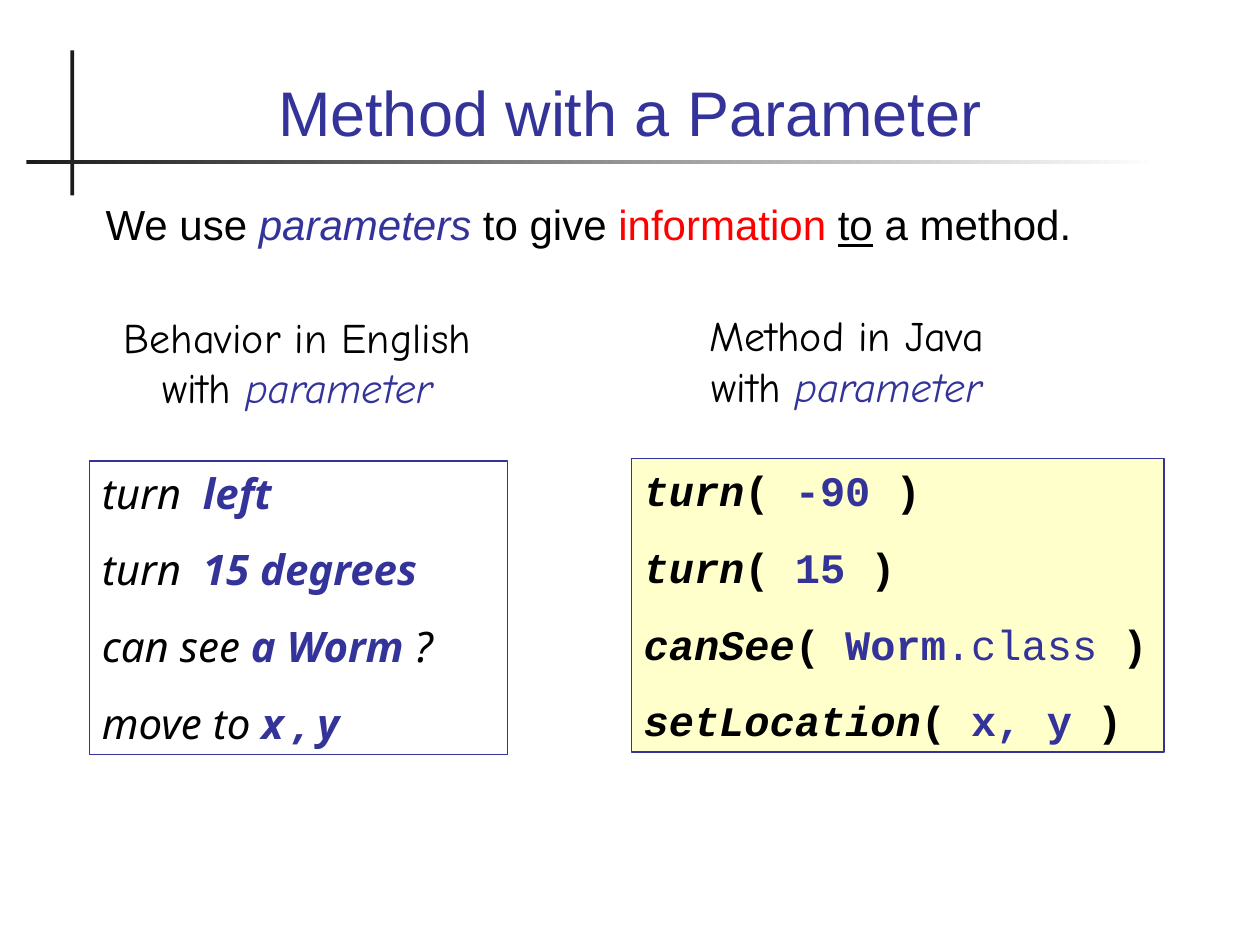
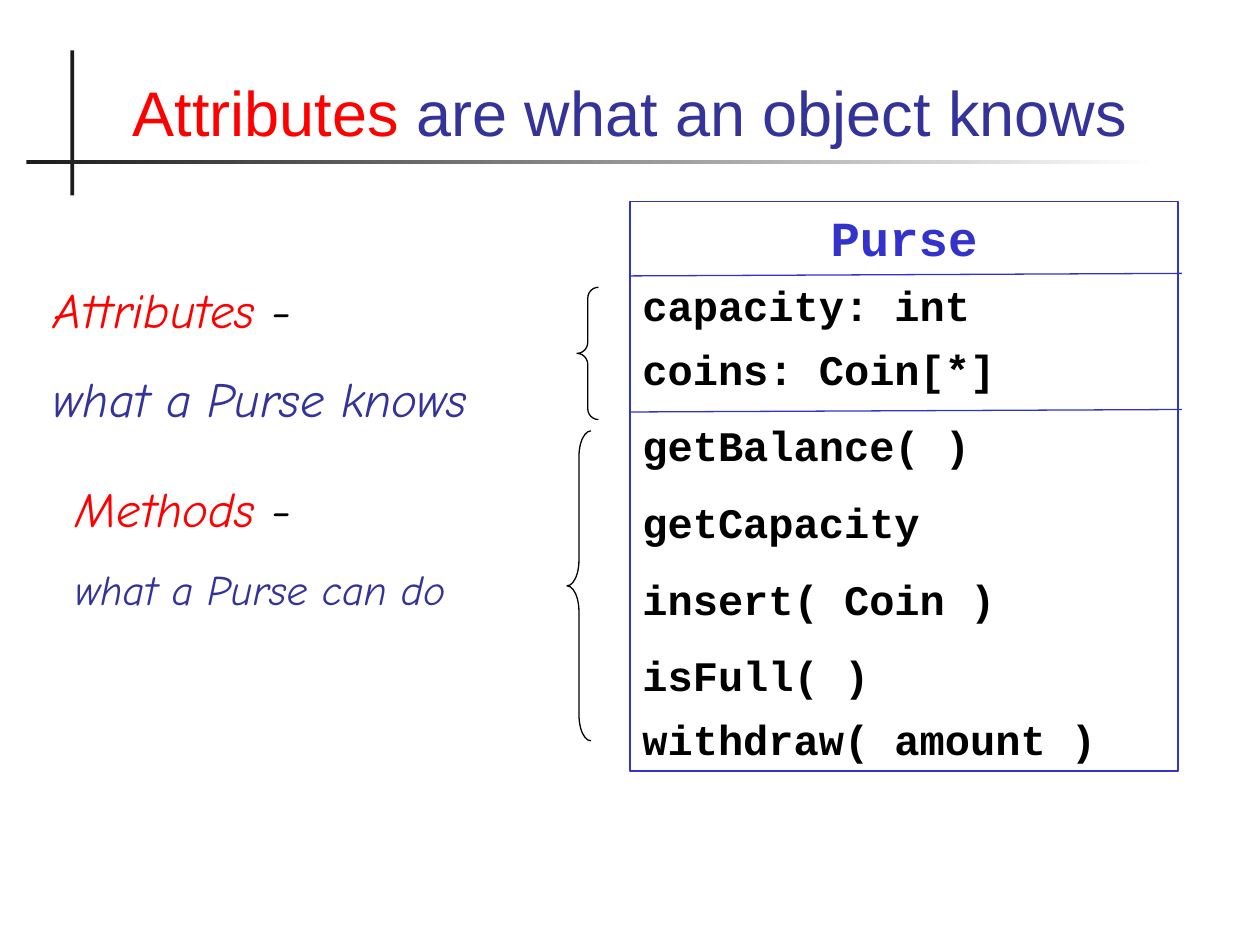
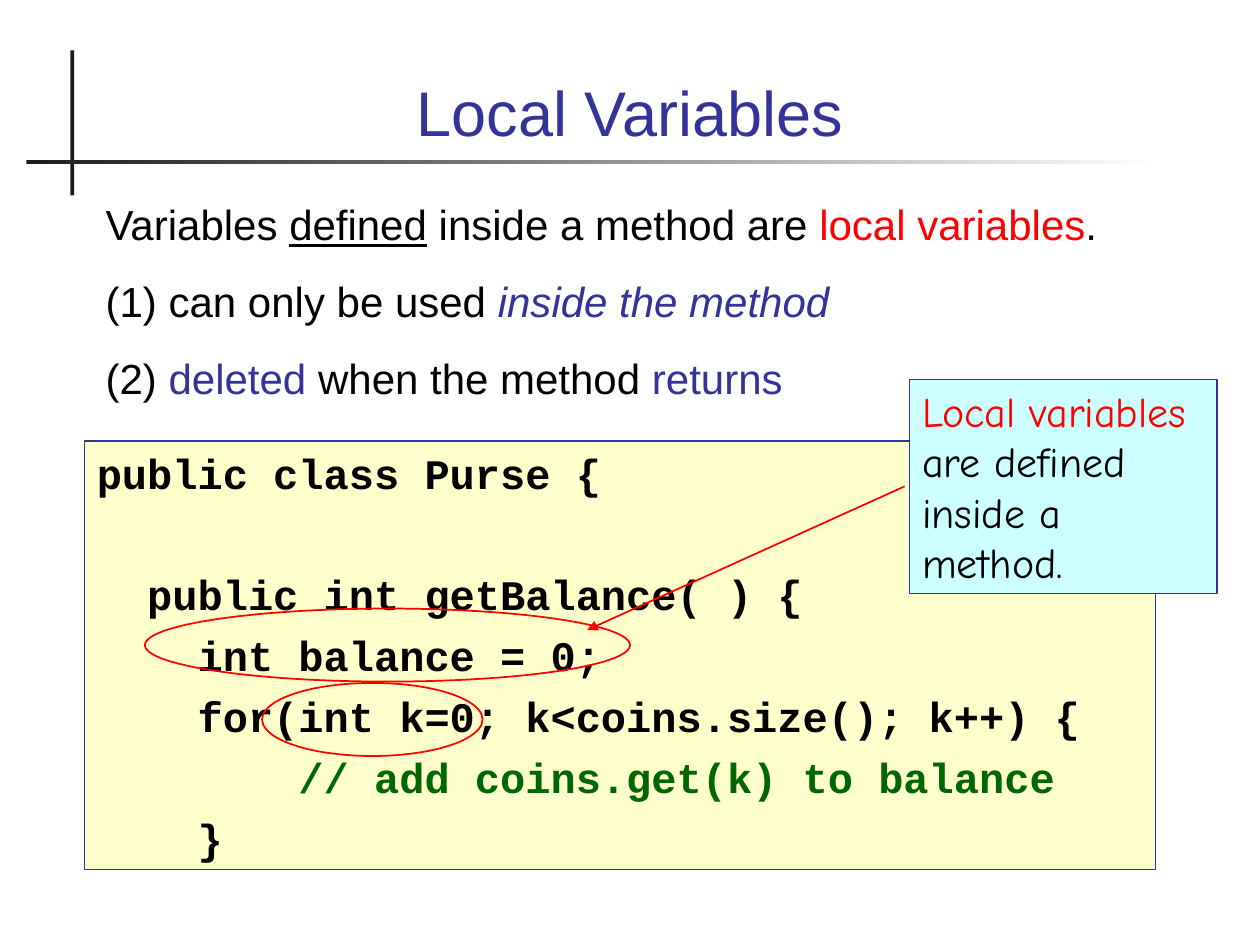
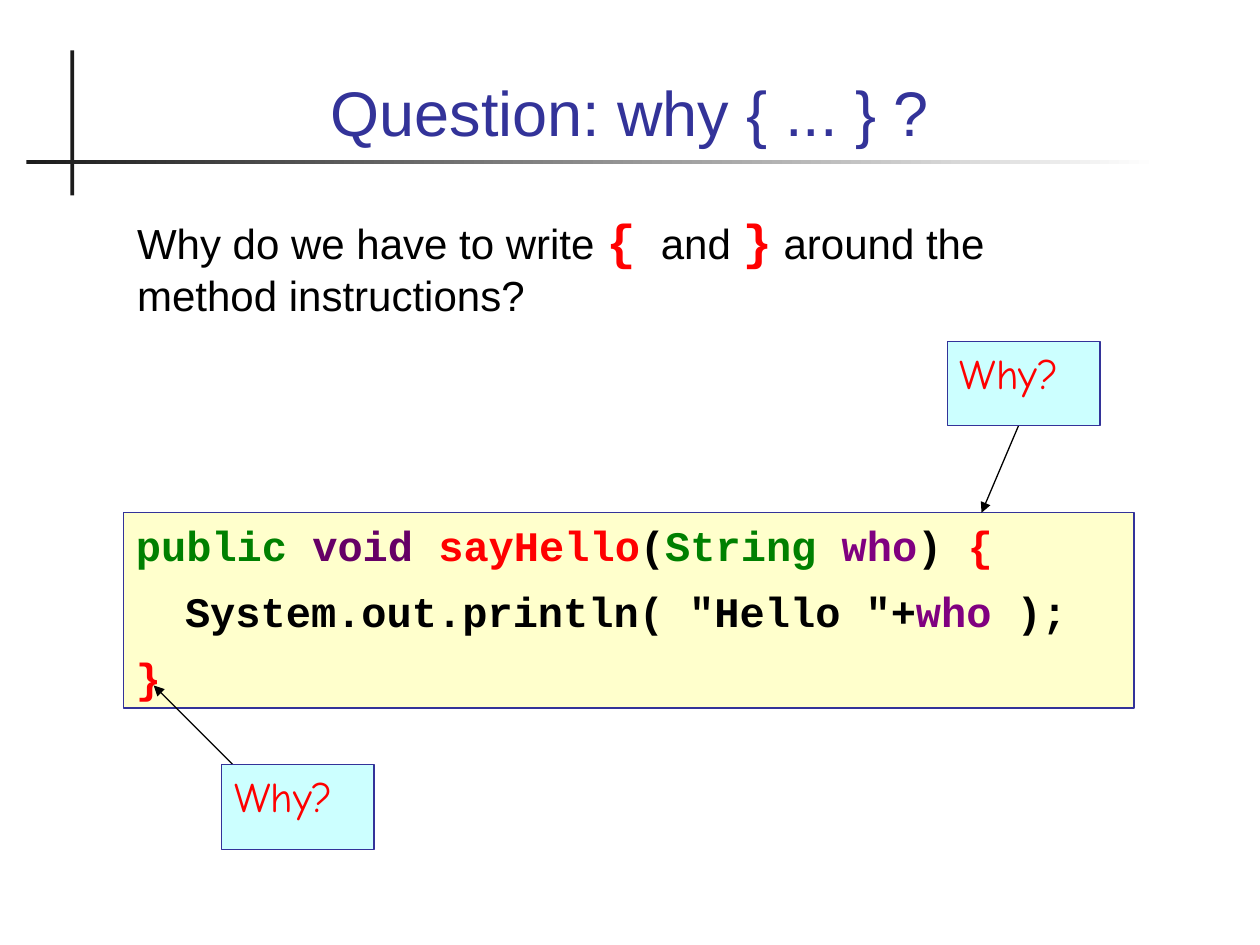
from pptx import Presentation
from pptx.dml.color import RGBColor
from pptx.enum.shapes import MSO_CONNECTOR as Link, MSO_SHAPE as Kind
from pptx.enum.text import MSO_ANCHOR as Anchor, PP_ALIGN as Align
from pptx.oxml import parse_xml
from pptx.oxml.ns import nsdecls, qn
from pptx.util import Inches, Pt

BLACK, INK, WHITE = "000000", "1C1C1C", "FFFFFF"
NAVY, BLUE, RED = "333399", "3333CC", "FF0000"
GREEN, MOSS, PLUM, GRAPE = "008000", "006600", "800080", "660066"
CREAM, AQUA = "FFFFCC", "CCFFFF"
SANS, HAND, CODE, ITAL = "Arial", "Comic Neue", "Courier New", "Noto Sans"


def rgb(code):
    return RGBColor.from_string(code)


def run(text, color=BLACK, **fmt):
    """One piece of text with its format: size, face, bold, italic, line."""
    return text, dict(fmt, color=color)


def code(text, color=BLACK, **fmt):
    return run(text, color, **{"face": CODE, "bold": True, **fmt})


def hand(text, color=BLACK, **fmt):
    return run(text, color, face=HAND, **fmt)


def para(*runs, before=15, indent=0, align=Align.LEFT):
    return dict(runs=runs, before=before, indent=indent, align=align)


class Deck:
    def __init__(self):
        self.prs = Presentation()
        self.prs.slide_width, self.prs.slide_height = Inches(10), Inches(7.5)
        self.layout = self.prs.slide_layouts[5]
        self.slide = None

    def page(self, *runs):
        """Start a slide with its title."""
        first = self.slide is None
        self.slide = self.prs.slides.add_slide(self.layout)
        if first:
            self.rules()
        title = self.slide.shapes.title
        title.left, title.top = Inches(0.67), Inches(0.28)
        title.width, title.height = Inches(8.66), Inches(0.95)
        self.fill_in(title.text_frame, [para(*runs, align=Align.CENTER)],
                     size=36, anchor=Anchor.BOTTOM, tight=False)

    def rules(self):
        """Put the crossed rules on the layout, for all slides."""
        bar = self.shape(Kind.RECTANGLE, 0.56, 0.4, 0.03, 1.15, fill=INK)
        fade = self.shape(Kind.RECTANGLE, 0.21, 1.27, 8.99, 0.03, fill=INK)
        fade.fill.gradient()
        fade.fill.gradient_angle = 0
        for stop, color in zip(fade.fill.gradient_stops, (INK, WHITE)):
            stop.color.rgb = rgb(color)
        for item in (bar, fade):
            self.layout.shapes.element.append(item.element)

    def fill_in(self, frame, paras, size=24, anchor=Anchor.TOP, tight=True,
                top=0.05):
        frame.word_wrap, frame.vertical_anchor = True, anchor
        frame.margin_left = frame.margin_right = Inches(0.1)
        frame.margin_top, frame.margin_bottom = Inches(top), Inches(0.05)
        for n, item in enumerate(paras):
            p = frame.add_paragraph() if n else frame.paragraphs[0]
            p.alignment = item["align"]
            p.space_before = Pt(item["before"] if n else 0)
            if item["indent"]:
                p._p.get_or_add_pPr().set("marL", str(Inches(item["indent"])))
            if tight:
                lead = max(f.get("size", size) for _, f in item["runs"])
                p.line_spacing = Pt(1.2 * lead)
            for text, fmt in item["runs"]:
                self.say(p, text, **{"size": size, **fmt})

    def say(self, p, text, size, color, face=SANS, bold=False, italic=False,
            line=False):
        for n, part in enumerate(text.split("\n")):
            if n:
                p.add_line_break()
            r = p.add_run()
            r.text = part
            font = r.font
            font.name, font.size, font.color.rgb = face, Pt(size), rgb(color)
            font.bold, font.italic, font.underline = bold, italic, line

    def text(self, x, y, w, h, *paras, **fmt):
        box = self.slide.shapes.add_textbox(*map(Inches, (x, y, w, h)))
        self.fill_in(box.text_frame, paras, **fmt)

    def shape(self, kind, x, y, w, h, fill=None, line=None, width=0.75):
        item = self.slide.shapes.add_shape(kind, *map(Inches, (x, y, w, h)))
        item.shadow.inherit = False
        if fill:
            item.fill.solid()
            item.fill.fore_color.rgb = rgb(fill)
        else:
            item.fill.background()
        if line:
            item.line.color.rgb, item.line.width = rgb(line), Pt(width)
        else:
            item.line.fill.background()
        return item

    def box(self, x, y, w, h, *paras, fill=None, line=NAVY):
        item = self.shape(Kind.RECTANGLE, x, y, w, h, fill, line)
        self.fill_in(item.text_frame, paras)

    def brace(self, x, y, w, h):
        item = self.shape(Kind.LEFT_BRACE, x, y, w, h, line=BLACK)
        item.adjustments[0] = h / 12 / w

    def ring(self, x, y, w, h):
        self.shape(Kind.OVAL, x, y, w, h, line=RED, width=1)

    def link(self, x1, y1, x2, y2, color=BLACK, width=0.75, arrow=True):
        item = self.slide.shapes.add_connector(
            Link.STRAIGHT, *map(Inches, (x1, y1, x2, y2)))
        item.line.color.rgb, item.line.width = rgb(color), Pt(width)
        props = item.element.spPr
        if arrow:
            props.find(qn("a:ln")).append(parse_xml(
                f'<a:tailEnd {nsdecls("a")} type="triangle"/>'))
        props.append(parse_xml(f'<a:effectLst {nsdecls("a")}/>'))


def method(deck):
    deck.page(run("Method with a Parameter", NAVY))
    deck.text(0.74, 1.53, 8.66, 0.86, para(
        run("We use "), run("parameters", NAVY, italic=True),
        run(" to give "), run("information ", RED),
        run("to", line=True), run(" a method.")))

    # English phrases
    def phrase(verb, what, end=""):
        runs = [run(verb, face=ITAL, italic=True),
                run(what, NAVY, face=ITAL, italic=True, bold=True)]
        if end:
            runs.append(run(end, face=ITAL, italic=True))
        return para(*runs)

    deck.box(0.71, 3.66, 3.32, 2.33,
             phrase("turn  ", "left"), phrase("turn  ", "15 degrees"),
             phrase("can see ", "a Worm", " ?"), phrase("move to ", "x , y"))

    # Column heads
    for x, y, head in ((0.69, 2.42, "Behavior in English"),
                       (5.05, 2.41, "Method in Java")):
        deck.text(x, y, 3.34, 0.9, para(
            hand(head + "\nwith "), hand("parameter", NAVY, italic=True),
            align=Align.CENTER))

    # Java calls
    def call(name, *args):
        return para(code(name, italic=True), code("( "), *args, code(")"))

    deck.box(5.01, 3.64, 4.23, 2.33,
             call("turn", code("-90 ", NAVY)),
             call("turn", code("15 ", NAVY)),
             call("canSee", code("Worm", NAVY),
                  code(".class ", NAVY, bold=False)),
             call("setLocation", code("x, y ", NAVY)), fill=CREAM)


def purse(deck):
    deck.page(run("Attributes ", RED), run("are what an object knows", NAVY))

    # Class diagram
    rows = (("capacity: int", 7.5), ("coins: Coin[*]", 7.5),
            ("getBalance( )", 15), ("getCapacity", 15),
            ("insert( Coin )", 15), ("isFull( )", 15),
            ("withdraw( amount )", 7.5))
    deck.box(5, 1.6, 4.35, 4.52,
             para(code("Purse", BLUE, size=28), align=Align.CENTER),
             *(para(code(row), before=gap) for row, gap in rows), line=BLUE)
    for y in (2.19, 3.27):
        deck.link(5, y, 9.38, y - 0.02, BLUE, arrow=False)
    deck.brace(4.5, 3.42, 0.19, 2.46)
    deck.brace(4.58, 2.28, 0.17, 1.05)

    # Notes beside the braces
    for x, y, w, h, head, note, size in (
            (0.33, 2.17, 4.24, 1.28, "Attributes", "what a Purse knows", 28),
            (0.5, 3.75, 3.43, 1.18, "Methods", "what a Purse can do", 24)):
        deck.text(x, y, w, h,
                  para(hand(head, RED, italic=True, size=28),
                       hand(" -", italic=True, size=28)),
                  para(hand(note, NAVY, italic=True, size=size),
                       before=size * 0.625))


def local(deck):
    deck.page(run("Local Variables", NAVY))
    deck.text(0.74, 1.53, 8.97, 1.89,
              para(run("Variables "), run("defined", line=True),
                   run(" inside a method are "),
                   run("local variables", RED), run(".")),
              para(run("(1) can only be used "),
                   run("inside the method", NAVY, italic=True)),
              para(run("(2) "), run("deleted", NAVY),
                   run(" when the method "), run("returns", NAVY)))

    # Code, with a one-line gap after the class line
    lines = (("public class Purse {", BLACK, 6),
             ("  public int getBalance( ) {", BLACK, 40.8),
             ("    int balance = 0;", BLACK, 6),
             ("    for(int k=0; k<coins.size(); k++) {", BLACK, 6),
             ("        // add coins.get(k) to balance", MOSS, 6),
             ("    }", BLACK, 6))
    deck.box(0.67, 3.5, 8.5, 3.4,
             *(para(code(row, color), before=gap)
               for row, color, gap in lines), fill=CREAM)

    # Callout and marks
    deck.box(7.22, 3.01, 2.44, 1.7,
             para(hand("Local variables", RED),
                  hand(" are defined inside a method.")), fill=AQUA)
    deck.ring(1.15, 4.83, 3.85, 0.58)
    deck.link(7.18, 3.86, 4.66, 5, RED, 1)
    deck.ring(2.08, 5.42, 1.75, 0.58)


def braces(deck):
    deck.page(run("Question: why { ... } ?", NAVY))
    deck.box(0.98, 4.07, 8.02, 1.55,
             para(code("public ", GREEN), code("void ", GRAPE),
                  code("sayHello", RED), code("("), code("String ", GREEN),
                  code("who", PLUM), code(") "), code("{", RED)),
             para(code('System.out.println( "Hello "+'), code("who", PLUM),
                  code(" );"), before=9, indent=0.39),
             para(code("}", RED), before=9), fill=CREAM)

    # Question
    deck.text(0.99, 1.57, 8.03, 0.97, para(
        run("Why do we have to write "), code("{", RED, size=28), code(" "),
        run("and "), code("}", RED, size=28),
        run(" around the method instructions?")), tight=False, top=0.1)

    # Callouts with arrows
    for x, y, ends in ((7.52, 2.71, (8.1, 3.34, 7.79, 4.07)),
                       (1.76, 6.07, (1.86, 6.08, 1.22, 5.44))):
        deck.link(*ends)
        deck.box(x, y, 1.21, 0.67, para(hand("Why?", RED)), fill=AQUA)


def main():
    deck = Deck()
    for build in (method, purse, local, braces):
        build(deck)
    deck.prs.save("out.pptx")


if __name__ == "__main__":
    main()
